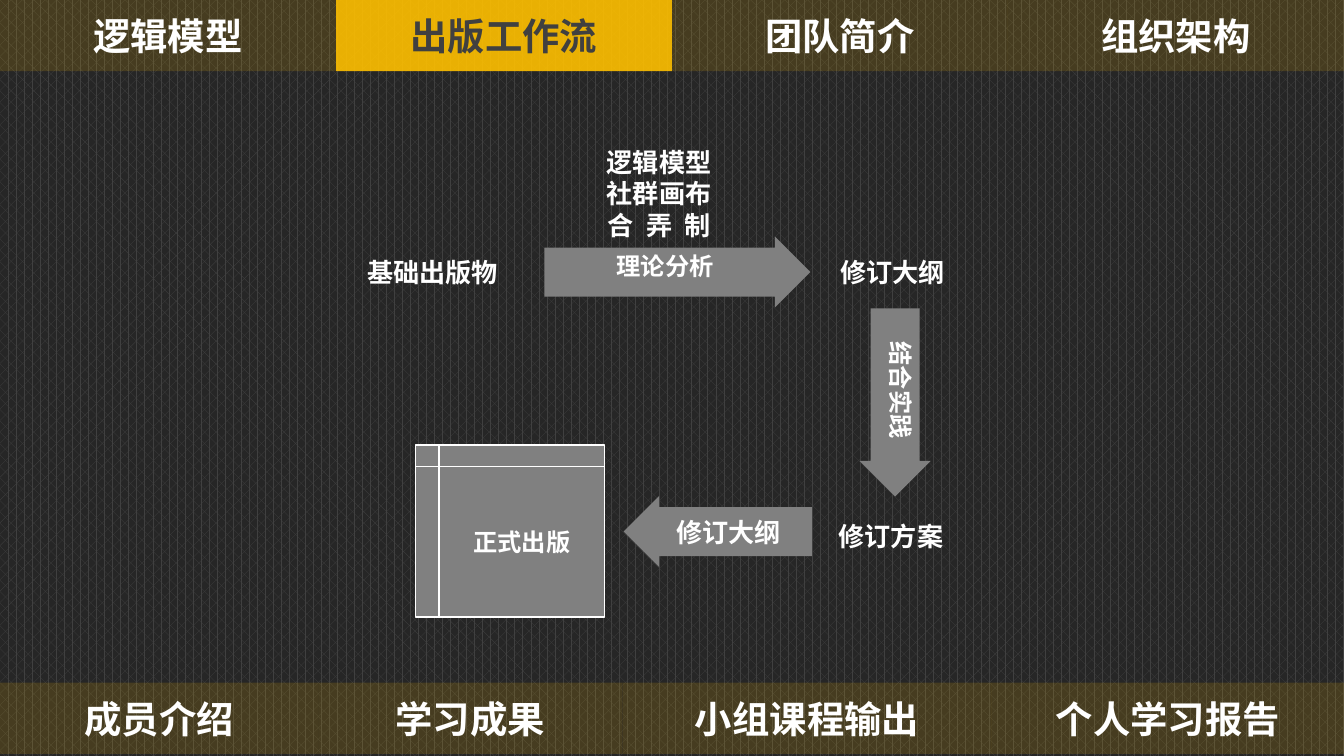
from lxml import etree
from pptx import Presentation
from pptx.dml.color import RGBColor
from pptx.enum.dml import MSO_PATTERN
from pptx.enum.shapes import MSO_SHAPE
from pptx.enum.text import MSO_ANCHOR, MSO_AUTO_SIZE, PP_ALIGN
from pptx.oxml.ns import qn
from pptx.util import Inches, Pt

RIGHT_ARROW, RECTANGLE = MSO_SHAPE.RIGHT_ARROW, MSO_SHAPE.RECTANGLE
STORAGE = MSO_SHAPE.FLOWCHART_INTERNAL_STORAGE
TOP, MIDDLE, CENTER = MSO_ANCHOR.TOP, MSO_ANCHOR.MIDDLE, PP_ALIGN.CENTER
NO_FIT, GROW = MSO_AUTO_SIZE.NONE, MSO_AUTO_SIZE.SHAPE_TO_FIT_TEXT
PATTERN = MSO_PATTERN.PERCENT_60

WHITE = RGBColor(0xFF, 0xFF, 0xFF)
GRAY = RGBColor(0x80, 0x80, 0x80)
DARK = RGBColor(0x40, 0x40, 0x40)
NIGHT = RGBColor(0x26, 0x26, 0x26)
GOLD = RGBColor(0xFF, 0xC0, 0x00)
FONT = "Noto Sans CJK SC"

WIDTH = 10
HEIGHT = WIDTH * 9 / 16
BAR_HEIGHT = 0.53


def inches(box):
    return [Inches(length) for length in box]


def write(shape, lines, size, color=WHITE, **frame_format):
    """Fill a shape with centred bold lines."""
    frame = shape.text_frame
    frame.text = "\n".join(lines)
    settings = {"word_wrap": True, "auto_size": NO_FIT,
                "vertical_anchor": MIDDLE, **frame_format}
    for name, value in settings.items():
        setattr(frame, name, value)
    for paragraph in frame.paragraphs:
        paragraph.alignment = CENTER
        for run in paragraph.runs:
            run.font.color.rgb = color
            values = {"name": FONT, "size": Pt(size), "bold": True}
            for name, value in values.items():
                setattr(run.font, name, value)
            east_asian = etree.SubElement(run.font._element, qn("a:ea"))
            east_asian.set("typeface", FONT)


def paint(shape, color, opacity=100):
    shape.fill.solid()
    shape.fill.fore_color.rgb = color
    if opacity < 100:
        color_node = shape.fill._xPr.find(".//" + qn("a:srgbClr"))
        alpha = etree.SubElement(color_node, qn("a:alpha"))
        alpha.set("val", str(opacity * 1000))
    shape.line.fill.background()
    shape.shadow.inherit = False


def add_label(shapes, box, *lines):
    label = shapes.add_textbox(*inches(box))
    write(label, lines, 14, vertical_anchor=TOP, auto_size=GROW)


def add_arrow(shapes, box, text="", rotation=0):
    arrow = shapes.add_shape(RIGHT_ARROW, *inches(box))
    arrow.adjustments[0] = 0.689
    arrow.rotation = rotation
    paint(arrow, GRAY)
    if text:
        write(arrow, [text], 13, vertical_anchor=TOP, margin_top=Inches(0.03))


def add_bar(slide, top, tabs, active=None):
    """Lay tabs edge to edge; the active tab is the slide title."""
    left = 0
    for text, width in tabs:
        box = inches((left, top, width, BAR_HEIGHT))
        if text == active:
            tab = slide.shapes.title
            tab.left, tab.top, tab.width, tab.height = box
            paint(tab, GOLD, 90)
            write(tab, [text], 20, DARK)
        else:
            tab = slide.shapes.add_shape(RECTANGLE, *box)
            paint(tab, GOLD, 15)
            write(tab, [text], 20)
        left += width


def add_workflow(slide, left, top):
    """Draw the publishing flow from its top left corner."""
    def place(x, y, width, height):
        return left + x, top + y, width, height

    shapes = slide.shapes
    # Theory step
    add_label(shapes, place(1.67, 0, 1.43, 0.81),
              "逻辑模型", "社群画布", "合  弄  制")
    add_arrow(shapes, place(1.53, 0.72, 1.98, 0.53), "理论分析")
    # Stages
    for text, x, y, width in (("基础出版物", 0, 0.82, 1.4),
                              ("修订大纲", 3.52, 0.82, 1.2),
                              ("修订方案", 3.51, 2.78, 1.2)):
        add_label(shapes, place(x, y, width, 0.34), text)
    # Practice step
    add_arrow(shapes, place(3.44, 1.69, 1.4, 0.53), "结合实践", 90)
    # Publication
    publication = shapes.add_shape(STORAGE, *inches(place(0.57, 2.27, 1.41, 1.28)))
    paint(publication, GRAY)
    publication.line.color.rgb = WHITE
    publication.line.width = Pt(0.75)
    write(publication, ["正式出版"], 13)
    # Revision step
    revision = shapes.add_group_shape()
    add_arrow(revision.shapes, place(2.12, 2.65, 1.4, 0.53), rotation=180)
    add_label(revision.shapes, place(2.3, 2.75, 1.2, 0.34), "修订大纲")


presentation = Presentation()
presentation.slide_width, presentation.slide_height = inches((WIDTH, HEIGHT))
slide = presentation.slides.add_slide(presentation.slide_layouts[5])

# Background
background = slide.background.fill
background.patterned()
background.pattern = PATTERN
background.fore_color.rgb = DARK
background.back_color.rgb = NIGHT

add_workflow(slide, 2.52, 1.04)
top_tabs = [(text, WIDTH / 4) for text in
            ("逻辑模型", "出版工作流", "团队简介", "组织架构")]
add_bar(slide, 0, top_tabs, "出版工作流")
add_bar(slide, 5.08, [("成员介绍", 2.37), ("学习成果", 2.26),
                      ("小组课程输出", 2.75), ("个人学习报告", 2.62)])

presentation.save("out.pptx")
